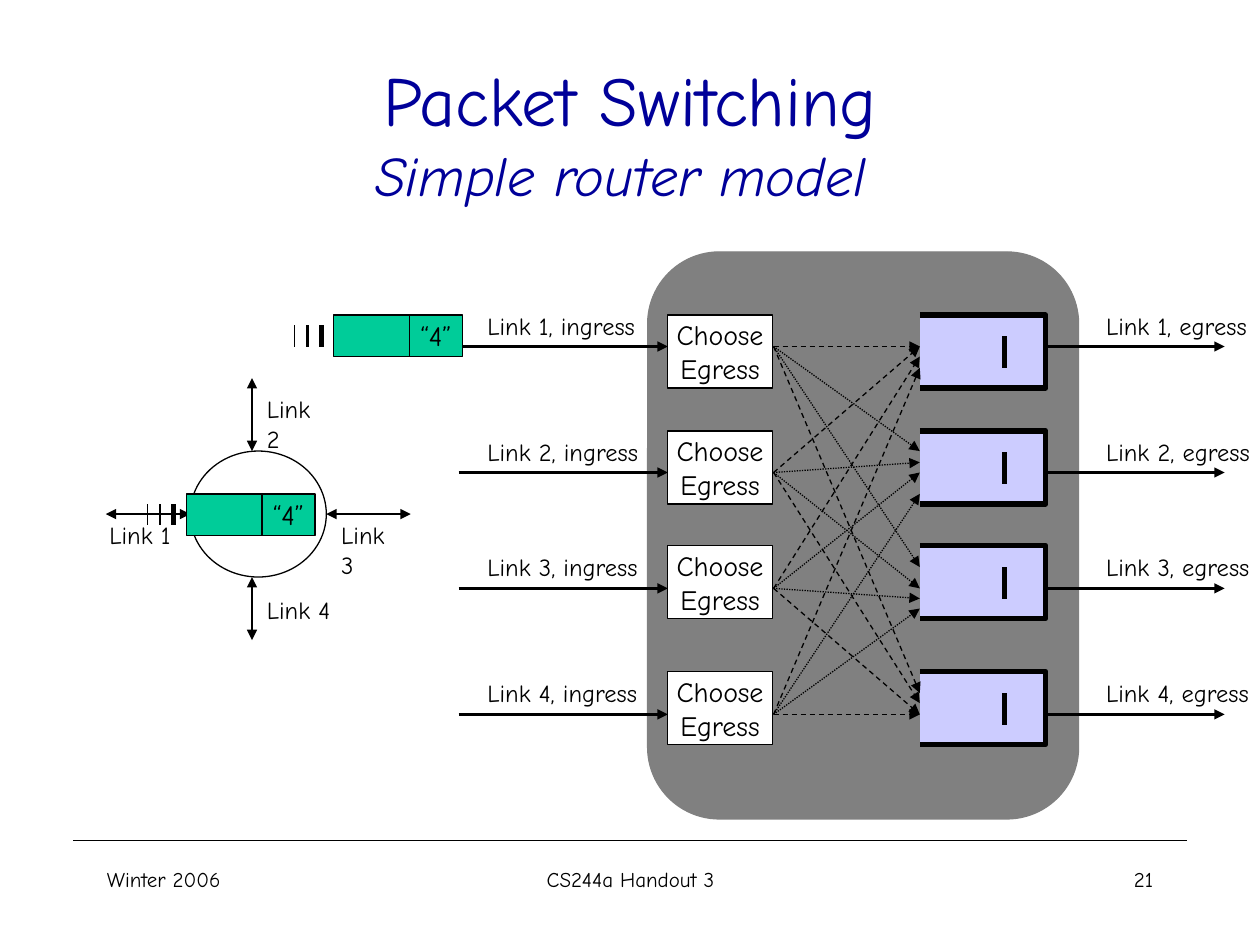
from lxml.etree import SubElement
from pptx import Presentation
from pptx.dml.color import RGBColor
from pptx.enum.dml import MSO_LINE
from pptx.enum.shapes import MSO_CONNECTOR, MSO_SHAPE
from pptx.enum.text import MSO_ANCHOR, MSO_AUTO_SIZE, PP_ALIGN
from pptx.oxml.ns import qn
from pptx.util import Inches, Pt

FONT = "Comic Neue"
BLACK = RGBColor(0x00, 0x00, 0x00)
WHITE = RGBColor(0xFF, 0xFF, 0xFF)
NAVY = RGBColor(0x00, 0x00, 0x99)
GRAY = RGBColor(0x80, 0x80, 0x80)
LILAC = RGBColor(0xCC, 0xCC, 0xFF)
GREEN = RGBColor(0x00, 0xCC, 0x99)

# One row per link: top of its boxes, height of its arrows, top of its labels
BOX_TOPS = [2.5, 3.42, 4.33, 5.33]
LINK_YS = [2.75, 3.75, 4.67, 5.67]
LABEL_TOPS = [2.42, 3.42, 4.33, 5.33]
BOX_HEIGHT = 0.58

# For each egress queue: where the path from each ingress arrives
ARRIVALS = [
    [2.75, 2.75, 2.83, 2.92],
    [3.58, 3.67, 3.75, 3.92],
    [4.5, 4.67, 4.75, 4.83],
    [5.5, 5.58, 5.67, 5.67],
]
QUEUE_DASHES = [MSO_LINE.DASH, MSO_LINE.ROUND_DOT, MSO_LINE.ROUND_DOT, MSO_LINE.DASH]


def add_run(p, text, size, color=BLACK, italic=False):
    r = p.add_run()
    r.text = text
    r.font.color.rgb = color
    style = {"name": FONT, "size": Pt(size), "italic": italic}
    for name, value in style.items():
        setattr(r.font, name, value)


def add_text(s, box, text, size, align=PP_ALIGN.LEFT, wrap=True):
    tf = s.shapes.add_textbox(*map(Inches, box)).text_frame
    tf.word_wrap = wrap
    tf.auto_size = MSO_AUTO_SIZE.NONE if wrap else MSO_AUTO_SIZE.SHAPE_TO_FIT_TEXT
    p = tf.paragraphs[0]
    p.alignment = align
    add_run(p, text, size)


def paint(sp, fill, line, width=0.75):
    sp.shadow.inherit = False
    sp.fill.solid()
    sp.fill.fore_color.rgb = fill
    sp.line.color.rgb = line
    sp.line.width = Pt(width)


def add_box(s, kind, box, fill, line=BLACK, lines=()):
    sp = s.shapes.add_shape(kind, *map(Inches, box))
    paint(sp, fill, line)
    tf = sp.text_frame
    tf.word_wrap = False
    tf.vertical_anchor = MSO_ANCHOR.MIDDLE
    for i, text in enumerate(lines):
        p = tf.add_paragraph() if i else tf.paragraphs[0]
        p.alignment = PP_ALIGN.CENTER
        add_run(p, text, 16)


def add_line(s, start, end, width=0.75, dash=None, arrows=()):
    cx = s.shapes.add_connector(MSO_CONNECTOR.STRAIGHT, *map(Inches, (*start, *end)))
    cx.line.color.rgb = BLACK
    cx.line.width = Pt(width)
    if dash:
        cx.line.dash_style = dash
    ln = cx.line._get_or_add_ln()
    for tag in arrows:
        SubElement(ln, qn(tag), type="triangle")
    SubElement(cx._element.spPr, qn("a:effectLst"))


def add_title(s):
    tf = s.shapes.add_textbox(*map(Inches, (0.75, 0.42, 8.5, 1.25))).text_frame
    tf.word_wrap = True
    tf.vertical_anchor = MSO_ANCHOR.MIDDLE
    p = tf.paragraphs[0]
    p.alignment = PP_ALIGN.CENTER
    add_run(p, "Packet Switching", 40, NAVY)
    p.add_line_break()
    add_run(p, "Simple router model ", 32, NAVY, italic=True)


def add_footer(s):
    add_line(s, (0.58, 6.67), (9.42, 6.67))
    add_text(s, (0.75, 6.83, 2.08, 0.5), "Winter 2006", 12)
    add_text(s, (3.42, 6.83, 3.17, 0.5), "CS244a Handout 3", 12, PP_ALIGN.CENTER)
    add_text(s, (7.17, 6.83, 2.08, 0.5), "21", 12, PP_ALIGN.RIGHT)


def add_small_router(s):
    add_box(s, MSO_SHAPE.OVAL, (1.51, 3.58, 1.08, 1), WHITE)
    links = [
        ((0.84, 4.08), (1.51, 4.08), (0.77, 4.08)),
        ((2, 3), (2, 3.58), (2.02, 3.08)),
        ((2.59, 4.08), (3.26, 4.08), (2.61, 4.08)),
        ((2, 4.58), (2, 5.08), (2.02, 4.67)),
    ]
    for n, (start, end, label) in enumerate(links, 1):
        add_line(s, start, end, arrows=("a:headEnd", "a:tailEnd"))
        add_text(s, (*label, 0.7, 0.34), f"Link {n}", 14, wrap=False)


def add_queue(s, top):
    left, right, bottom = 7.3, 8.3, top + BOX_HEIGHT
    fb = s.shapes.build_freeform(Inches(left), Inches(top))
    corners = [(right, top), (right, bottom), (left, bottom)]
    fb.add_line_segments([(Inches(x), Inches(y)) for x, y in corners], close=False)
    paint(fb.convert_to_shape(), LILAC, BLACK, 3)
    add_line(s, (7.97, top + 0.17), (7.97, top + 0.42), 3)


def add_link(s, n, y, label_top):
    for start, end, label_left, width, side in [
        (3.64, 5.3, 3.77, 1.4, "ingress"),
        (8.05, 9.72, 8.68, 1.34, "egress"),
    ]:
        add_line(s, (start, y), (end, y), 1.5, arrows=("a:tailEnd",))
        add_text(s, (label_left, label_top, width, 0.34), f"Link {n}, {side}", 14, wrap=False)


def add_router_model(s):
    add_box(s, MSO_SHAPE.ROUNDED_RECTANGLE, (5.14, 2, 3.42, 4.5), GRAY, GRAY)
    for n, (y, label_top) in enumerate(zip(LINK_YS, LABEL_TOPS), 1):
        add_link(s, n, y, label_top)
    for top in BOX_TOPS:
        add_queue(s, top)
    # Paths from every ingress to every egress queue
    for arrivals, dash in zip(ARRIVALS, QUEUE_DASHES):
        for y, arrival in zip(LINK_YS, arrivals):
            add_line(s, (6.14, y), (7.3, arrival), dash=dash, arrows=("a:tailEnd",))
    for top in BOX_TOPS:
        add_box(s, MSO_SHAPE.RECTANGLE, (5.3, top, 0.83, BOX_HEIGHT), WHITE,
                lines=("Choose", "Egress"))


def add_packet(s, left, top):
    add_box(s, MSO_SHAPE.RECTANGLE, (left, top, 0.6, 0.33), GREEN)
    # Motion marks trailing behind the packet
    for gap, width in [(0.1, 3), (0.21, 1.5), (0.31, 0.75)]:
        x = left - gap
        add_line(s, (x, top + 0.08), (x, top + 0.25), width)
    add_box(s, MSO_SHAPE.RECTANGLE, (left + 0.6, top, 0.42, 0.33), GREEN, lines=("“4”",))


def main():
    prs = Presentation()
    prs.slide_width, prs.slide_height = Inches(10), Inches(7.5)
    s = prs.slides.add_slide(prs.slide_layouts[6])
    add_footer(s)
    add_title(s)
    add_small_router(s)
    add_router_model(s)
    add_packet(s, 1.48, 3.92)
    add_packet(s, 2.65, 2.5)
    prs.save("out.pptx")


if __name__ == "__main__":
    main()
